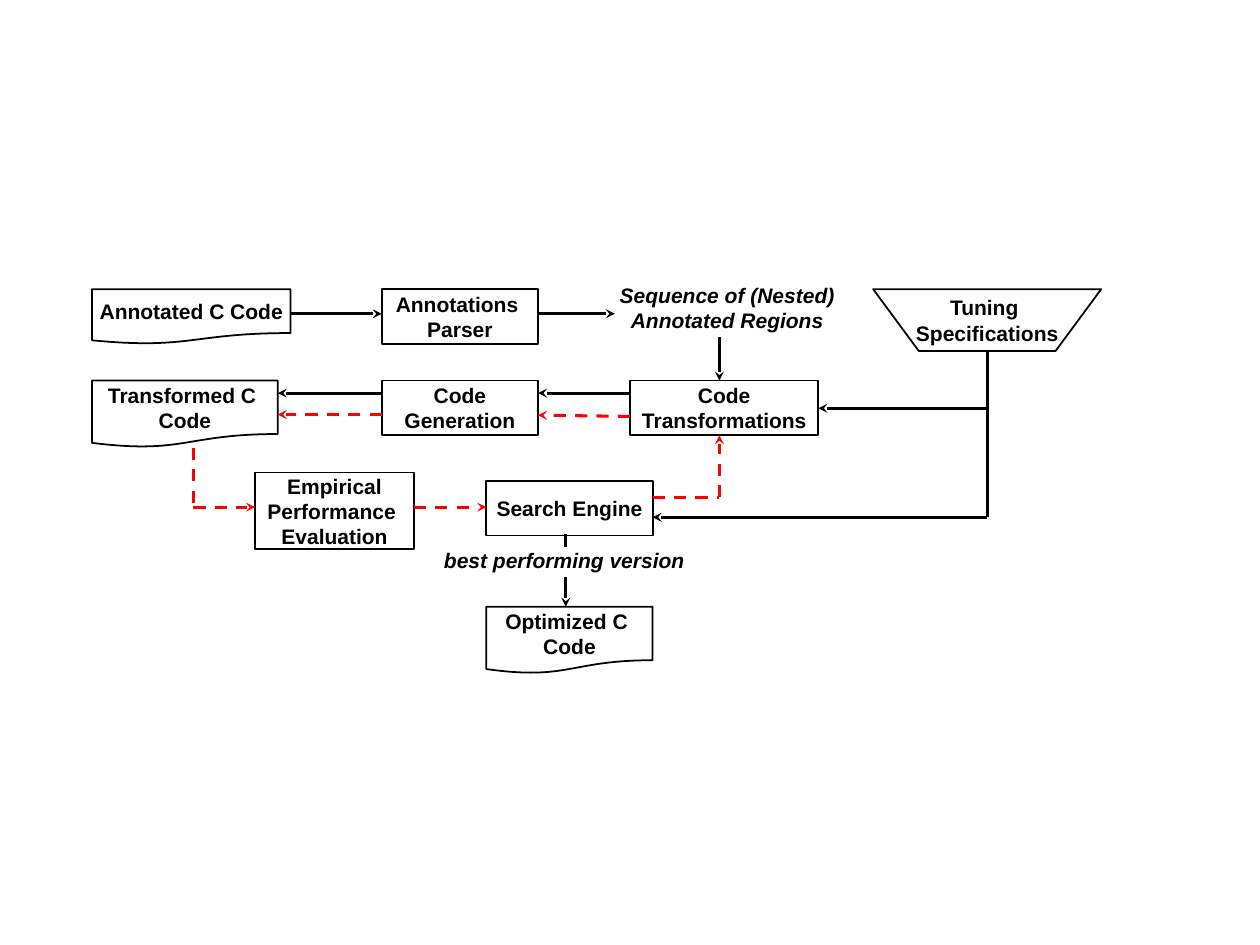
from itertools import pairwise

from lxml.etree import SubElement
from pptx import Presentation
from pptx.dml.color import RGBColor
from pptx.enum.dml import MSO_LINE_DASH_STYLE as DASH
from pptx.enum.shapes import MSO_CONNECTOR, MSO_SHAPE as SHAPE
from pptx.enum.text import MSO_ANCHOR, MSO_AUTO_SIZE, PP_ALIGN
from pptx.oxml.ns import qn
from pptx.util import Pt

BLACK = RGBColor(0x00, 0x00, 0x00)
RED = RGBColor(0xFF, 0x00, 0x00)

# Columns and rows shared by the boxes
LEFT_COL, PARSER_COL, SEARCH_COL, TRANSFORM_COL = 105.1, 436.3, 555.8, 720
TOP_ROW, CODE_ROW = 330.5, 434.9
PARSER_WIDTH, SEARCH_WIDTH = 178.6, 190.1
BOX_HEIGHT, DOCUMENT_HEIGHT = 62.6, 76.3
PARSER_RIGHT = PARSER_COL + PARSER_WIDTH
SEARCH_RIGHT = SEARCH_COL + SEARCH_WIDTH

BOXES = [
    (SHAPE.FLOWCHART_DOCUMENT, "Annotated C Code",
     LEFT_COL, TOP_ROW, 226.8, BOX_HEIGHT),
    (SHAPE.FLOWCHART_PROCESS, "Annotations \nParser",
     PARSER_COL, TOP_ROW, PARSER_WIDTH, BOX_HEIGHT),
    (SHAPE.FLOWCHART_MANUAL_OPERATION, "Tuning \nSpecifications",
     997.9, TOP_ROW, 260.6, 70.6),
    (SHAPE.FLOWCHART_PROCESS, "Code\nTransformations",
     TRANSFORM_COL, CODE_ROW, 215.3, BOX_HEIGHT),
    (SHAPE.FLOWCHART_PROCESS, "Code\nGeneration",
     PARSER_COL, CODE_ROW, PARSER_WIDTH, BOX_HEIGHT),
    (SHAPE.FLOWCHART_DOCUMENT, "Transformed C \nCode",
     LEFT_COL, CODE_ROW, 212.4, DOCUMENT_HEIGHT),
    (SHAPE.FLOWCHART_PROCESS, "Empirical\nPerformance \nEvaluation",
     291.6, 540, 181.4, 87.8),
    (SHAPE.FLOWCHART_PROCESS, "Search Engine",
     SEARCH_COL, 549.4, SEARCH_WIDTH, BOX_HEIGHT),
    (SHAPE.FLOWCHART_DOCUMENT, "Optimized C \nCode",
     SEARCH_COL, 693.4, SEARCH_WIDTH, DOCUMENT_HEIGHT),
]

LABELS = [
    ("Sequence of (Nested) Annotated Regions", 700.6, 319, 260.6, 64.8),
    ("best performing version", 478.8, 622.1, 331.9, 36),
]

# Lines that several routes share
PARSE_Y, BUILD_Y, FEEDBACK_Y, EVALUATION_Y = 358.6, 449.3, 473.8, 579.6
REGIONS_X, TUNING_X, RESULT_X, MEASURED_X = 822.2, 1128.2, 646.6, 221
TUNING_TO_SEARCH_Y, RETRY_Y = 591.1, 568.1

BUILD_ROUTES = [
    [(331.9, PARSE_Y), (PARSER_COL, PARSE_Y)],
    [(PARSER_RIGHT, PARSE_Y), (702.7, PARSE_Y)],
    [(REGIONS_X, 385.2), (REGIONS_X, CODE_ROW)],
    [(TUNING_X, 466.6), (935.3, 466.6)],
    [(TUNING_X, 401), (TUNING_X, TUNING_TO_SEARCH_Y),
     (SEARCH_RIGHT, TUNING_TO_SEARCH_Y)],
    [(TRANSFORM_COL, BUILD_Y), (PARSER_RIGHT, BUILD_Y)],
    [(PARSER_COL, BUILD_Y), (317.5, BUILD_Y)],
    [(RESULT_X, 659.5), (RESULT_X, 693.4)],
]

FEEDBACK_ROUTES = [
    [(PARSER_COL, FEEDBACK_Y), (317.5, FEEDBACK_Y)],
    [(TRANSFORM_COL, 475.9), (PARSER_RIGHT, 474.5)],
    [(473, EVALUATION_Y), (SEARCH_COL, EVALUATION_Y)],
    [(MEASURED_X, 511.9), (MEASURED_X, EVALUATION_Y), (291.6, EVALUATION_Y)],
    [(SEARCH_RIGHT, RETRY_Y), (REGIONS_X, RETRY_Y), (REGIONS_X, 497.5)],
]


def write(frame, text, italic=False):
    frame.text = text
    for paragraph in frame.paragraphs:
        paragraph.alignment = PP_ALIGN.CENTER
        for run in paragraph.runs:
            font = run.font
            font.name, font.size = "Arial", Pt(24)
            font.bold, font.italic = True, italic
            font.color.rgb = BLACK


def add_box(slide, kind, text, *bounds):
    box = slide.shapes.add_shape(kind, *map(Pt, bounds))
    box.shadow.inherit = False
    box.fill.background()
    box.line.color.rgb = BLACK
    box.line.width = Pt(2)
    box.text_frame.word_wrap = False
    box.text_frame.vertical_anchor = MSO_ANCHOR.MIDDLE
    write(box.text_frame, text)


def add_label(slide, text, *bounds):
    frame = slide.shapes.add_textbox(*map(Pt, bounds)).text_frame
    frame.word_wrap = True
    frame.auto_size = MSO_AUTO_SIZE.SHAPE_TO_FIT_TEXT
    write(frame, text, italic=True)


def add_segment(slide, start, end, color, dash):
    segment = slide.shapes.add_connector(
        MSO_CONNECTOR.STRAIGHT, *map(Pt, start + end))
    segment.line.color.rgb = color
    segment.line.width = Pt(3.5)
    segment.line.dash_style = dash
    SubElement(segment._element.spPr, qn("a:effectLst"))
    return segment


def add_route(slide, points, color, dash):
    """Join the points with straight segments and put an arrowhead on the last."""
    for start, end in pairwise(points):
        segment = add_segment(slide, start, end, color, dash)
    SubElement(segment.line._get_or_add_ln(), qn("a:tailEnd"), type="stealth")


def main():
    deck = Presentation()
    deck.slide_width, deck.slide_height = Pt(1440), Pt(1080)
    slide = deck.slides.add_slide(deck.slide_layouts[6])

    for box in BOXES:
        add_box(slide, *box)
    for label in LABELS:
        add_label(slide, *label)
    for route in BUILD_ROUTES:
        add_route(slide, route, BLACK, DASH.SOLID)
    for route in FEEDBACK_ROUTES:
        add_route(slide, route, RED, DASH.DASH)
    add_segment(slide, (RESULT_X, 610.6), (RESULT_X, 625), BLACK, DASH.SOLID)

    deck.save("out.pptx")


if __name__ == "__main__":
    main()
